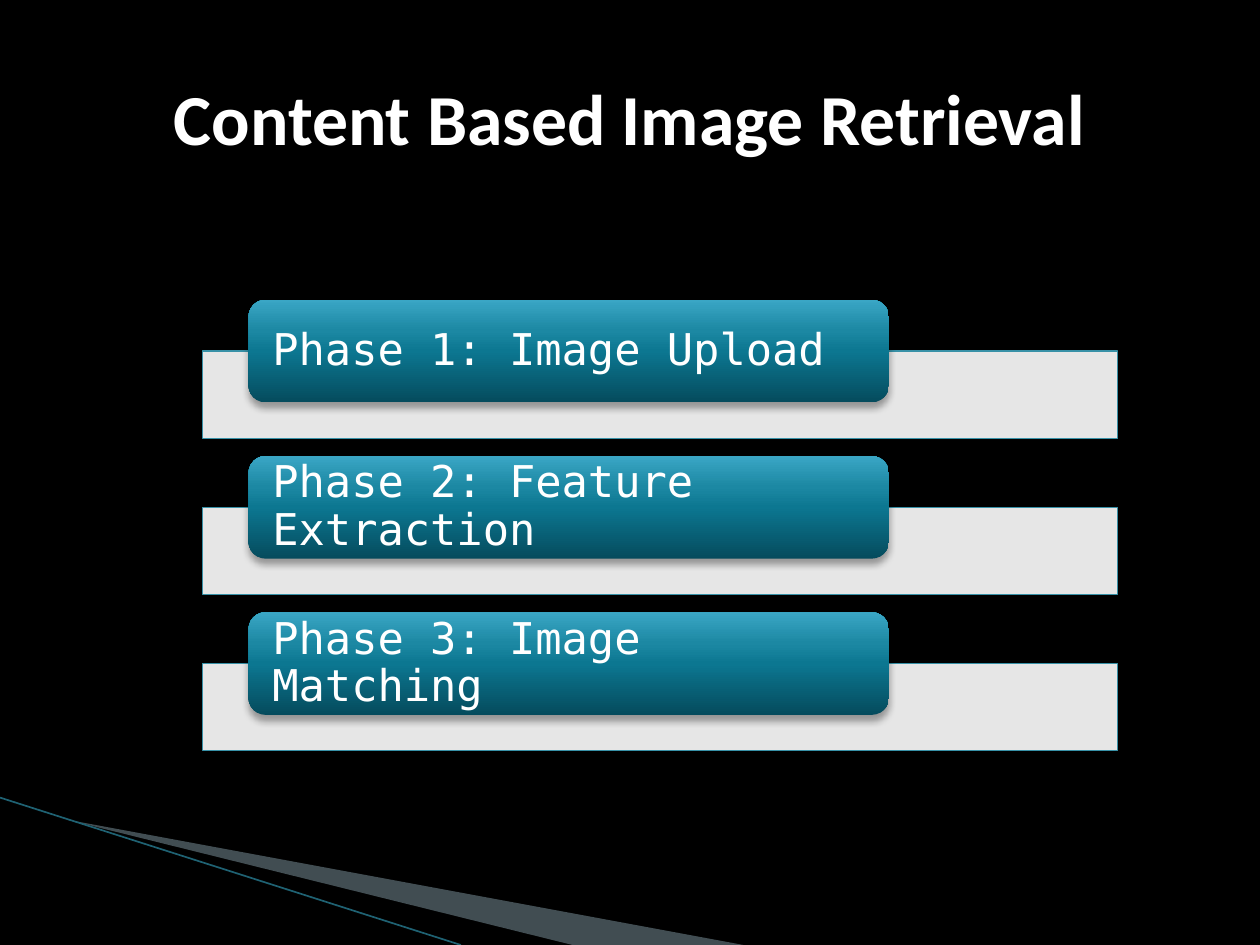
import dataclasses

import lxml.etree
import pptx
import pptx.dml.color
import pptx.enum.shapes
import pptx.enum.text
import pptx.oxml
import pptx.oxml.ns
import pptx.util

Inches = pptx.util.Inches
SHAPES = pptx.enum.shapes.MSO_SHAPE
ALIGN = pptx.enum.text.PP_ALIGN


@dataclasses.dataclass(frozen=True)
class Theme:
    """Colours, fonts and type sizes of the slide."""
    background: str = "000000"
    text: str = "FFFFFF"
    bar: str = "FFFFFF"
    bar_line: str = "3891A7"
    wedge: str = "A3C2CE"
    ray: str = "1F6273"
    label_stops: tuple = ((0, "054B5D"), (50, "0C7791"), (70, "1C88A3"), (100, "3AA6C5"))
    title_font: str = "Calibri"
    label_font: str = "DejaVu Sans Mono"
    title_size: int = 41
    label_size: int = 25


THEME = Theme()
WIDTH, HEIGHT = 10, 7.5
PHASES = ("Phase 1: Image Upload", "Phase 2: Feature Extraction", "Phase 3: Image Matching")


def rgb(value):
    """Turn a hex string into a colour."""
    return pptx.dml.color.RGBColor.from_string(value)


def add_effect(shape, content):
    """Append drawing XML to the properties of a shape."""
    namespace = pptx.oxml.ns.nsdecls("a")
    properties = shape._element.spPr
    properties.append(pptx.oxml.parse_xml(f"<a:effectLst {namespace}>{content}</a:effectLst>"))


def fill_solid(shape, color, opacity):
    """Fill a shape with one partly transparent colour."""
    shape.shadow.inherit = False
    shape.fill.solid()
    shape.fill.fore_color.rgb = rgb(color)
    color_element = shape._element.spPr.find(".//" + pptx.oxml.ns.qn("a:srgbClr"))
    alpha = lxml.etree.SubElement(color_element, pptx.oxml.ns.qn("a:alpha"))
    alpha.set("val", str(opacity * 1000))


def fill_gradient(shape, stops):
    """Fill a shape with a gradient that rises from its lower edge."""
    shape.fill.gradient()
    shape.fill.gradient_angle = 90
    stop_list = shape._element.spPr.find(".//" + pptx.oxml.ns.qn("a:gsLst"))
    for old_stop in list(stop_list):
        stop_list.remove(old_stop)
    for position, color in stops:
        stop = lxml.etree.SubElement(stop_list, pptx.oxml.ns.qn("a:gs"), pos=str(position * 1000))
        lxml.etree.SubElement(stop, pptx.oxml.ns.qn("a:srgbClr"), val=color)


def set_text(shape, text, *, font, size, bold=False, align=ALIGN.LEFT, inset=0.1, spacing=1.0):
    """Write one middle-anchored paragraph into a shape."""
    frame = shape.text_frame
    frame.word_wrap = True
    frame.vertical_anchor = pptx.enum.text.MSO_ANCHOR.MIDDLE
    frame.margin_left = frame.margin_right = Inches(inset)
    frame.margin_top = frame.margin_bottom = 0
    paragraph = frame.paragraphs[0]
    paragraph.alignment = align
    paragraph.line_spacing = spacing
    run = paragraph.add_run()
    run.text = text
    run.font.name = font
    run.font.size = pptx.util.Pt(size)
    run.font.bold = bold
    run.font.color.rgb = rgb(THEME.text)


def add_title(slide, left, top, width, height):
    """Place the centred heading in the given box."""
    box = slide.shapes.add_textbox(*map(Inches, (left, top, width, height)))
    set_text(box, "Content Based Image Retrieval", font=THEME.title_font,
             size=THEME.title_size, bold=True, align=ALIGN.CENTER)


def add_phase(slide, text, left, top, width, height):
    """Place a bar along the foot of the box and a label over its top."""
    bar_height = 0.63 * height
    bar = slide.shapes.add_shape(SHAPES.RECTANGLE, *map(
        Inches, (left, top + height - bar_height, width, bar_height)))
    fill_solid(bar, THEME.bar, 90)
    bar.line.color.rgb = rgb(THEME.bar_line)
    bar.line.width = pptx.util.Pt(0.75)

    label = slide.shapes.add_shape(SHAPES.ROUNDED_RECTANGLE, *map(
        Inches, (left + 0.05 * width, top, 0.7 * width, 0.74 * height)))
    fill_gradient(label, THEME.label_stops)
    label.line.fill.background()
    add_effect(label, '<a:outerShdw blurRad="50800" dist="38100" dir="5400000" rotWithShape="0">'
                      '<a:srgbClr val="000000"><a:alpha val="35000"/></a:srgbClr></a:outerShdw>')
    set_text(label, text, font=THEME.label_font, size=THEME.label_size, inset=0.15, spacing=0.9)


def add_phase_list(slide, left, top, width, height):
    """Stack the phases in the box, with equal gaps between them."""
    row_height = 1.1
    pitch = (height - row_height) / (len(PHASES) - 1)
    for row, text in enumerate(PHASES):
        add_phase(slide, text, left, top + row * pitch, width, row_height)


def add_corner_rays(slide, left, top, width, height):
    """Draw the thin line and the wedge that run down to the foot of the box."""
    def point(across, down):
        return Inches(left + across * width), Inches(top + down * height)

    builder = slide.shapes.build_freeform(*point(0.09, 0.15))
    builder.add_line_segments([point(1, 1), point(0.77, 1)], close=True)
    wedge = builder.convert_to_shape()
    fill_solid(wedge, THEME.wedge, 40)
    wedge.line.fill.background()

    ray = slide.shapes.add_connector(pptx.enum.shapes.MSO_CONNECTOR.STRAIGHT,
                                     *point(0, 0), *point(0.62, 1))
    ray.line.color.rgb = rgb(THEME.ray)
    ray.line.width = pptx.util.Pt(0.95)
    add_effect(ray, "")


def build():
    """Build and save the presentation."""
    presentation = pptx.Presentation()
    presentation.slide_width, presentation.slide_height = Inches(WIDTH), Inches(HEIGHT)
    slide = presentation.slides.add_slide(presentation.slide_layouts[6])
    slide.background.fill.solid()
    slide.background.fill.fore_color.rgb = rgb(THEME.background)
    add_corner_rays(slide, 0, 0.844 * HEIGHT, 0.59 * WIDTH, 0.156 * HEIGHT)
    add_phase_list(slide, 0.161 * WIDTH, 2.38, 0.726 * WIDTH, 3.58)
    add_title(slide, 0.05 * WIDTH, 0.04 * HEIGHT, 0.9 * WIDTH, 1.25)
    presentation.save("out.pptx")


build()
